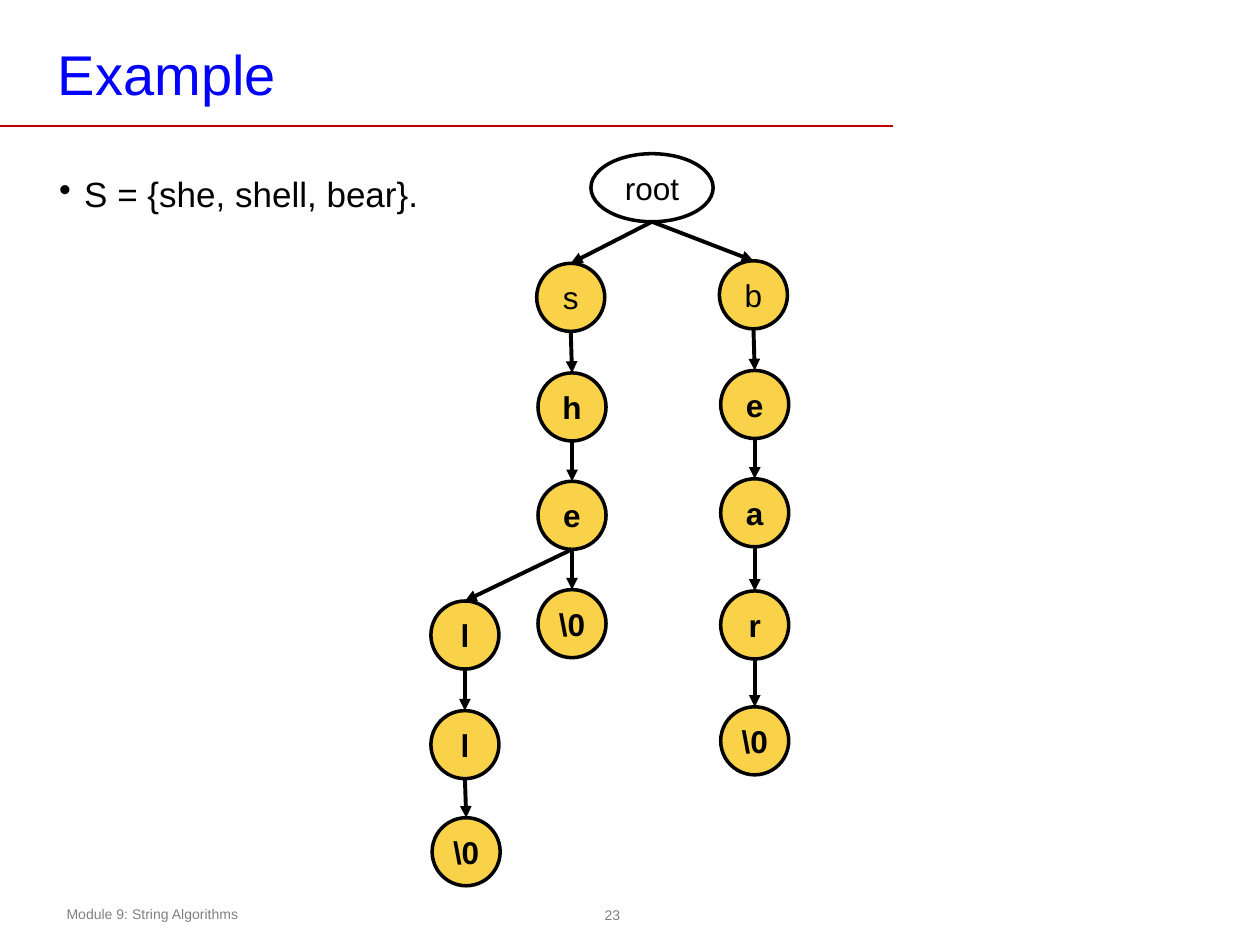
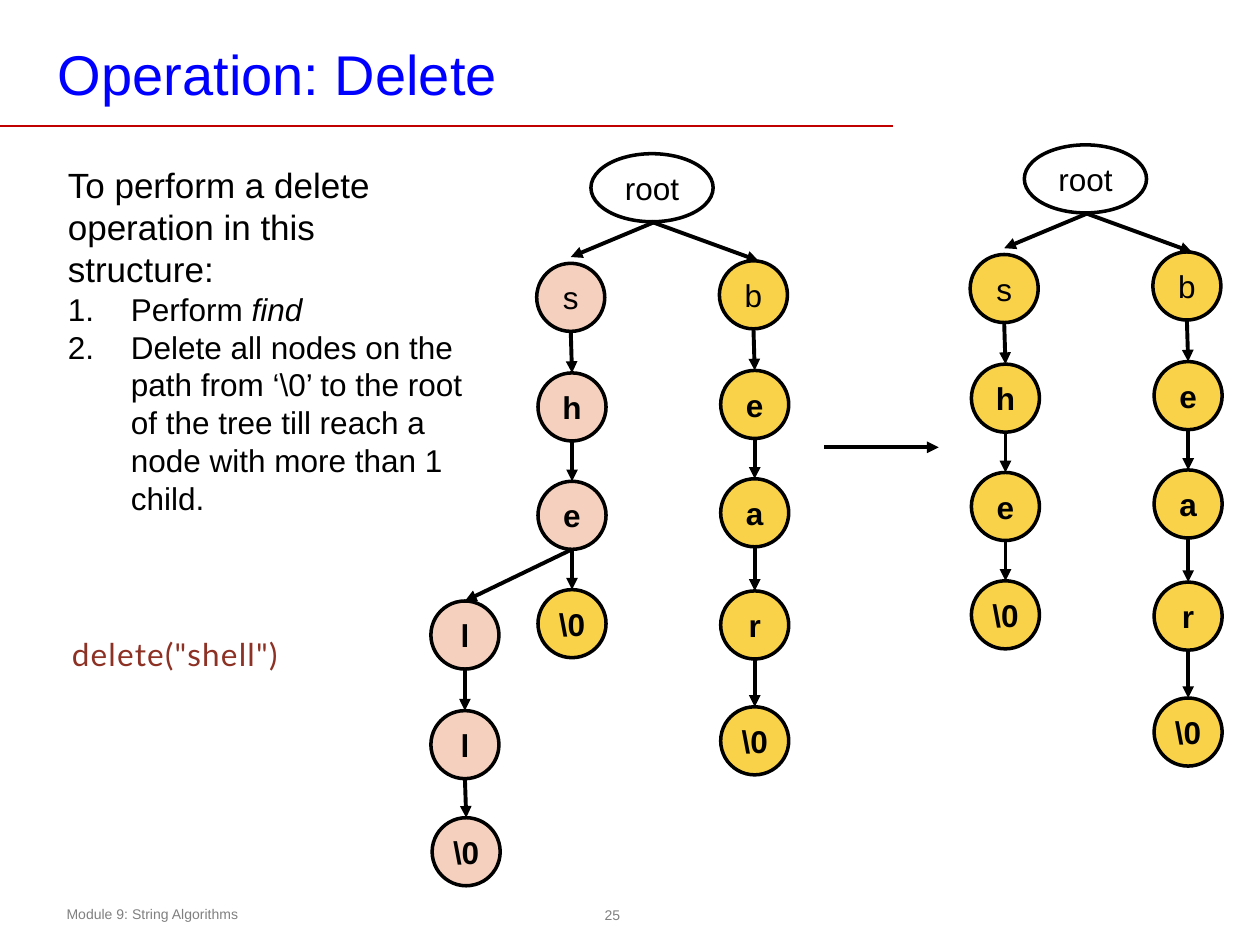
import pptx
import pptx.dml.color
import pptx.enum.shapes
import pptx.enum.text
import pptx.oxml
import pptx.oxml.ns
import pptx.util

Inches = pptx.util.Inches
Pt = pptx.util.Pt
SHAPES = pptx.enum.shapes.MSO_SHAPE
ANCHOR = pptx.enum.text.MSO_ANCHOR
ALIGN = pptx.enum.text.PP_ALIGN

BLACK, WHITE, GRAY = "000000", "FFFFFF", "808080"
BLUE, RED, BROWN = "0000FF", "C00000", "8D3124"
YELLOW, PINK = "FAD24A", "F5D0BE"
FOOTER = "Module 9: String Algorithms"

NODE_SIZE = 0.54
ROOT_WIDTH = 0.97
NODES = {
    "root": ("root", 4.69, 1.22, None),
    "s": ("s", 4.26, 2.09, "root"),
    "sh": ("h", 4.27, 2.96, "s"),
    "she": ("e", 4.27, 3.82, "sh"),
    "she end": ("\\0", 4.27, 4.68, "she"),
    "shel": ("l", 3.42, 4.77, "she"),
    "shell": ("l", 3.42, 5.64, "shel"),
    "shell end": ("\\0", 3.43, 6.49, "shell"),
    "b": ("b", 5.71, 2.07, "root"),
    "be": ("e", 5.72, 2.94, "b"),
    "bea": ("a", 5.72, 3.8, "be"),
    "bear": ("r", 5.72, 4.69, "bea"),
    "bear end": ("\\0", 5.72, 5.61, "bear"),
}
DELETED = {"shel", "shell", "shell end"}
FOUND = {"s", "sh", "she"} | DELETED
LOOSE_EDGES = {
    "s": ((5.2, 1.76), (4.53, 2.04)),
    "b": ((5.17, 1.76), (6.02, 2.07)),
}
AFTER_OFFSET = (3.44, -0.07)

EXAMPLE_TEXT = "S = {she, shell, bear}."
DELETE_INTRO = "To perform a delete operation in this structure:"
DELETE_STEPS = [
    [("Perform ", False), ("find", True)],
    [("Delete all nodes on the path from ‘\\0’ to the root of the tree "
      "till reach a node with more than 1 child.", False)],
]
DELETE_CALL = 'delete("shell")'


def color(value):
    return pptx.dml.color.RGBColor.from_string(value)


def format_runs(paragraph, size, text_color=BLACK, font="Arial", bold=False):
    for run in paragraph.runs:
        run.font.size = Pt(size)
        run.font.name = font
        run.font.bold = bold
        run.font.color.rgb = color(text_color)


def set_frame(shape, insets, anchor=ANCHOR.TOP, wrap=True):
    frame = shape.text_frame
    frame.word_wrap = wrap
    frame.vertical_anchor = anchor
    (frame.margin_left, frame.margin_top,
     frame.margin_right, frame.margin_bottom) = map(Inches, insets)
    return frame


def add_text(slide, box, text, size, text_color=BLACK, insets=(0.1, 0.05, 0.1, 0.05),
             anchor=ANCHOR.TOP, font="Arial"):
    frame = set_frame(slide.shapes.add_textbox(*map(Inches, box)), insets, anchor)
    frame.text = text
    format_runs(frame.paragraphs[0], size, text_color, font)
    return frame


def set_bullet(paragraph, indent, tag, **attributes):
    properties = paragraph._p.get_or_add_pPr()
    properties.set("marL", str(Inches(indent)))
    properties.set("indent", str(-Inches(indent)))
    bullet = pptx.oxml.parse_xml(f"<a:{tag} {pptx.oxml.ns.nsdecls('a')}/>")
    for name, value in attributes.items():
        bullet.set(name, value)
    properties.append(bullet)


def add_line(slide, start, end, line_color=BLACK, width=2.25, arrow=True):
    connector = slide.shapes.add_connector(
        pptx.enum.shapes.MSO_CONNECTOR.STRAIGHT, *map(Inches, (*start, *end)))
    connector.line.color.rgb = color(line_color)
    connector.line.width = Pt(width)
    namespace = pptx.oxml.ns.nsdecls("a")
    if arrow:
        connector.line._get_or_add_ln().append(
            pptx.oxml.parse_xml(f'<a:tailEnd {namespace} type="triangle"/>'))
    connector._element.spPr.append(pptx.oxml.parse_xml(f"<a:effectLst {namespace}/>"))


def add_ellipse(slide, box, text, size, text_color=BLACK, bold=False, fill=None, wrap=True):
    shape = slide.shapes.add_shape(SHAPES.OVAL, *map(Inches, box))
    shape.shadow.inherit = False
    if fill:
        shape.fill.solid()
        shape.fill.fore_color.rgb = color(fill)
        shape.line.color.rgb = color(BLACK)
        shape.line.width = Pt(2)
    else:
        shape.fill.background()
        shape.line.fill.background()
    frame = set_frame(shape, [0.04] * 4, ANCHOR.MIDDLE, wrap)
    frame.text = text
    frame.paragraphs[0].alignment = ALIGN.CENTER
    format_runs(frame.paragraphs[0], size, text_color, bold=bold)


def node_width(name):
    return ROOT_WIDTH if name == "root" else NODE_SIZE


def node_center(name):
    return NODES[name][1] + node_width(name) / 2


def add_trie(slide, offset=(0, 0), found=(), omitted=(), edges=None):
    shift_x, shift_y = offset

    def move(point):
        return point[0] + shift_x, point[1] + shift_y

    for name, (label, left, top, parent) in NODES.items():
        if name in omitted:
            continue
        if parent:
            straight = ((node_center(parent), NODES[parent][2] + NODE_SIZE),
                        (node_center(name), top))
            start, end = (edges or {}).get(name, straight)
            add_line(slide, move(start), move(end))
        fill = WHITE if name == "root" else PINK if name in found else YELLOW
        add_ellipse(slide, (*move((left, top)), node_width(name), NODE_SIZE), label, 18,
                    bold=parent not in (None, "root"), fill=fill)


def add_base_slide(presentation, title, number):
    slide = presentation.slides.add_slide(presentation.slide_layouts[6])
    add_ellipse(slide, (4.74, 7.13, 0.24, 0.26), number, 8, GRAY, wrap=False)
    add_text(slide, (0.43, 7.14, 4.17, 0.24), FOOTER, 8, GRAY)
    add_line(slide, (0, 1), (7.09, 1), RED, 1, arrow=False)
    add_text(slide, (0.39, 0.28, 7.42, 0.6), title, 32, BLUE,
             (0.07, 0.03, 0.07, 0.03), ANCHOR.BOTTOM)
    return slide


def build_example(presentation):
    slide = add_base_slide(presentation, "Example", "23")
    frame = add_text(slide, (0.37, 1.36, 9.31, 5.48), EXAMPLE_TEXT, 20)
    paragraph = frame.paragraphs[0]
    paragraph.line_spacing = 0.9
    set_bullet(paragraph, 0.2, "buChar", char="•")
    add_trie(slide)


def build_delete(presentation):
    slide = add_base_slide(presentation, "Operation: Delete", "25")
    frame = add_text(slide, (0.44, 1.3, 3.34, 2.87), DELETE_INTRO, 20,
                     insets=(0.1, 0, 0.1, 0.04))
    for step in DELETE_STEPS:
        paragraph = frame.add_paragraph()
        for text, italic in step:
            run = paragraph.add_run()
            run.text = text
            run.font.italic = italic
        format_runs(paragraph, 18)
        set_bullet(paragraph, 0.5, "buAutoNum", type="arabicPeriod")
    add_trie(slide, found=FOUND, edges=LOOSE_EDGES)

    frame = add_text(slide, (0.56, 5.03, 1.89, 0.32), DELETE_CALL, 18, BROWN,
                     (0.01, 0.01, 0, 0), font="Lato")
    paragraph = frame.paragraphs[0]
    paragraph.space_before = Pt(1)
    paragraph.runs[0].font._element.set("spc", "70")

    add_trie(slide, AFTER_OFFSET, omitted=DELETED, edges=LOOSE_EDGES)
    add_line(slide, (6.54, 3.55), (7.45, 3.55))


def main():
    presentation = pptx.Presentation()
    presentation.slide_width = Inches(10)
    presentation.slide_height = Inches(7.5)
    build_example(presentation)
    build_delete(presentation)
    presentation.save("out.pptx")


if __name__ == "__main__":
    main()
